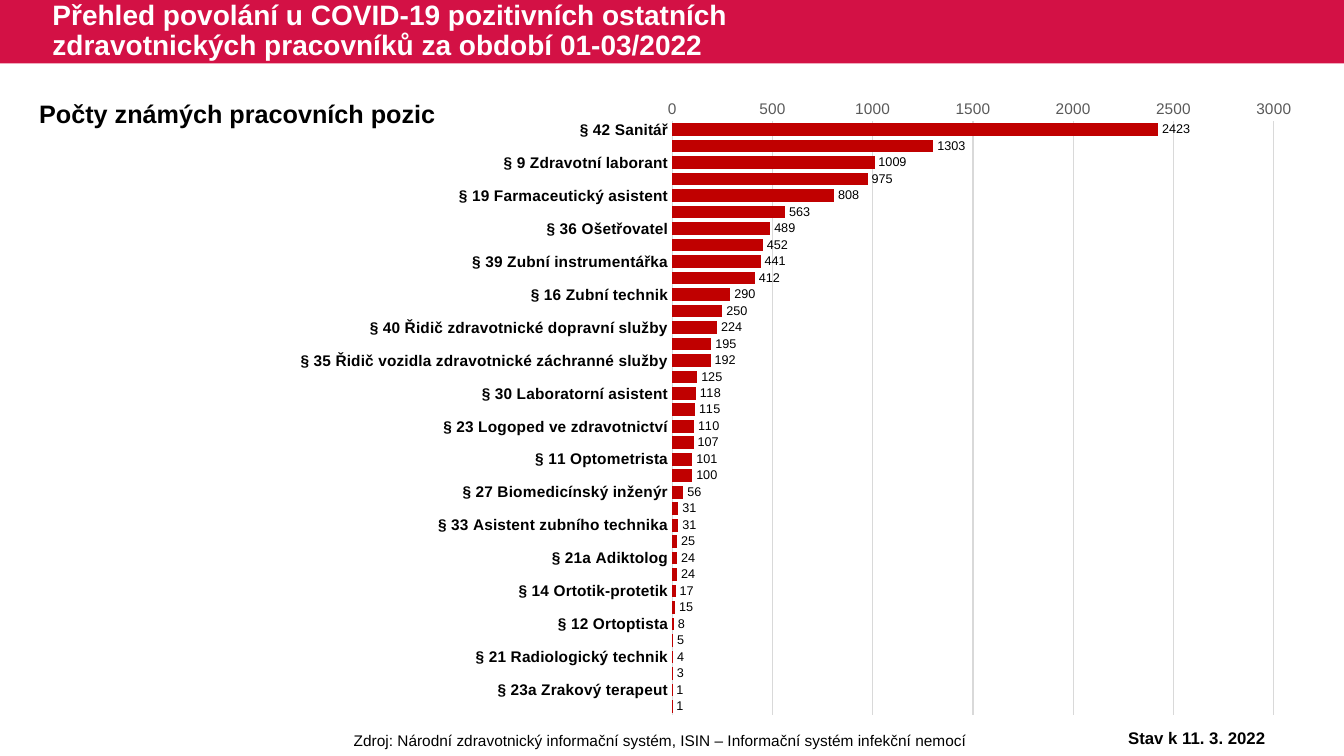
from lxml import etree
from pptx import Presentation
from pptx.chart.data import CategoryChartData
from pptx.dml.color import RGBColor
from pptx.enum.chart import XL_CHART_TYPE as ChartType
from pptx.enum.chart import XL_LABEL_POSITION as LabelPosition
from pptx.enum.chart import XL_TICK_MARK as TickMark
from pptx.enum.shapes import MSO_SHAPE as Shape
from pptx.enum.text import MSO_ANCHOR as Anchor
from pptx.enum.text import MSO_AUTO_SIZE as AutoSize
from pptx.enum.text import PP_ALIGN as Align
from pptx.oxml.ns import qn
from pptx.util import Inches, Pt

FONT = "Arial"
COLORS = {
    "band": "D31145",
    "bar": "C00000",
    "grid": "D9D9D9",
    "scale": "595959",
    "text": "000000",
    "title": "FFFFFF",
}
POSITION_PAIRS = [
    ("§ 42 Sanitář", 2423, 1303),
    ("§ 9 Zdravotní laborant", 1009, 975),
    ("§ 19 Farmaceutický asistent", 808, 563),
    ("§ 36 Ošetřovatel", 489, 452),
    ("§ 39 Zubní instrumentářka", 441, 412),
    ("§ 16 Zubní technik", 290, 250),
    ("§ 40 Řidič zdravotnické dopravní služby", 224, 195),
    ("§ 35 Řidič vozidla zdravotnické záchranné služby", 192, 125),
    ("§ 30 Laboratorní asistent", 118, 115),
    ("§ 23 Logoped ve zdravotnictví", 110, 107),
    ("§ 11 Optometrista", 101, 100),
    ("§ 27 Biomedicínský inženýr", 56, 31),
    ("§ 33 Asistent zubního technika", 31, 25),
    ("§ 21a Adiktolog", 24, 24),
    ("§ 14 Ortotik-protetik", 17, 15),
    ("§ 12 Ortoptista", 8, 5),
    ("§ 21 Radiologický technik", 4, 3),
    ("§ 23a Zrakový terapeut", 1, 1),
]


def color(name):
    return RGBColor.from_string(COLORS[name])


def style_font(font, size, color_name="text", bold=False):
    font.name = FONT
    font.size = Pt(size)
    font.bold = bold
    font.color.rgb = color(color_name)


def style_line(line, color_name):
    line.color.rgb = color(color_name)
    line.width = Pt(0.75)


def add_title(slide, text):
    title = slide.shapes.title
    title.left, title.top = Inches(0.42), Inches(0)
    title.width, title.height = Inches(8.26), Inches(0.63)
    frame = title.text_frame
    frame.word_wrap = True
    frame.auto_size = AutoSize.NONE
    frame.vertical_anchor = Anchor.MIDDLE
    paragraph = frame.paragraphs[0]
    paragraph.alignment = Align.LEFT
    paragraph.line_spacing = 0.9
    run = paragraph.add_run()
    run.text = text
    style_font(run.font, 20, "title", True)


def add_band(slide):
    band = slide.shapes.add_shape(
        Shape.RECTANGLE, Inches(0), Inches(0), Inches(13.33), Inches(0.63)
    )
    band.shadow.inherit = False
    band.fill.solid()
    band.fill.fore_color.rgb = color("band")
    band.line.fill.background()
    slide.shapes.title.element.addprevious(band.element)


def add_text(slide, text, box, size, bold=False, align=Align.CENTER, wrap=True):
    frame = slide.shapes.add_textbox(*map(Inches, box)).text_frame
    frame.word_wrap = wrap
    frame.auto_size = AutoSize.SHAPE_TO_FIT_TEXT
    paragraph = frame.paragraphs[0]
    paragraph.alignment = align
    run = paragraph.add_run()
    run.text = text
    style_font(run.font, size, bold=bold)


def place_plot(chart, x, y, w, h):
    plot_area = chart.plots[0]._element.getparent()
    for old in plot_area.findall(qn("c:layout")):
        plot_area.remove(old)
    layout = etree.Element(qn("c:layout"))
    manual = etree.SubElement(layout, qn("c:manualLayout"))
    settings = [("layoutTarget", "inner"), ("xMode", "edge"), ("yMode", "edge"),
                ("x", x), ("y", y), ("w", w), ("h", h)]
    for tag, value in settings:
        etree.SubElement(manual, qn(f"c:{tag}")).set("val", str(value))
    plot_area.insert(0, layout)


def style_axes(chart):
    names, scale = chart.category_axis, chart.value_axis
    for axis in (names, scale):
        axis.major_tick_mark = axis.minor_tick_mark = TickMark.NONE
    names.reverse_order = True
    names.has_major_gridlines = False
    style_font(names.tick_labels.font, 11, bold=True)
    style_line(names.format.line, "grid")
    scale.minimum_scale, scale.maximum_scale, scale.major_unit = 0, 3000, 500
    scale.has_major_gridlines = True
    style_line(scale.major_gridlines.format.line, "grid")
    style_font(scale.tick_labels.font, 11, "scale")
    scale.format.line.fill.background()


def add_positions_chart(slide):
    data = CategoryChartData()
    data.categories = [label for name, *_ in POSITION_PAIRS for label in (name, "")]
    data.add_series("", [count for _, *pair in POSITION_PAIRS for count in pair])
    chart = slide.shapes.add_chart(
        ChartType.BAR_CLUSTERED,
        Inches(0.04), Inches(0.8), Inches(12.97), Inches(6.42), data,
    ).chart
    chart.has_title = chart.has_legend = False
    style_font(chart.font, 10)
    style_axes(chart)
    place_plot(chart, 0.511, 0.063, 0.46, 0.917)

    bars = chart.plots[0]
    bars.gap_width, bars.overlap = 30, 100
    bars.vary_by_categories = False
    fill = bars.series[0].format.fill
    fill.solid()
    fill.fore_color.rgb = color("bar")
    bars.has_data_labels = True
    labels = bars.data_labels
    labels.show_value = True
    labels.position = LabelPosition.OUTSIDE_END
    style_font(labels.font, 9)


def main():
    deck = Presentation()
    deck.slide_width, deck.slide_height = Inches(13.33), Inches(7.5)
    slide = deck.slides.add_slide(deck.slide_layouts[5])
    add_title(slide, "Přehled povolání u COVID-19 pozitivních ostatních "
                     "zdravotnických pracovníků za období 01-03/2022")
    add_band(slide)
    add_positions_chart(slide)
    add_text(slide, "Zdroj: Národní zdravotnický informační systém, "
                    "ISIN – Informační systém infekční nemocí",
             (2.36, 7.2, 8.38, 0.29), 11)
    add_text(slide, "Počty známých pracovních pozic", (0.29, 0.93, 4.16, 0.4), 18,
             bold=True, align=Align.LEFT, wrap=False)
    add_text(slide, "Stav k 11. 3. 2022", (10.77, 7.17, 2.2, 0.3), 12, bold=True)
    deck.save("out.pptx")


if __name__ == "__main__":
    main()
